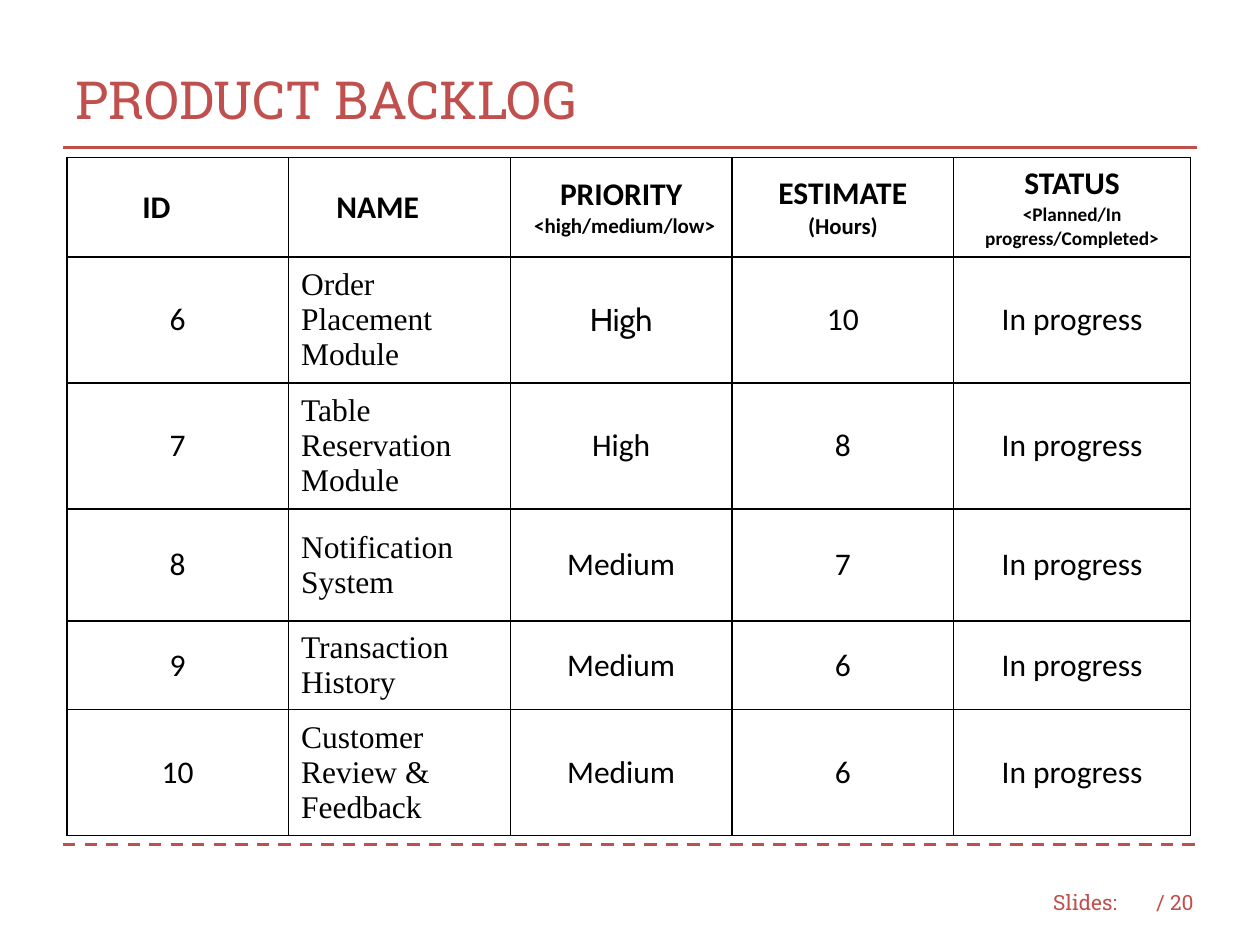
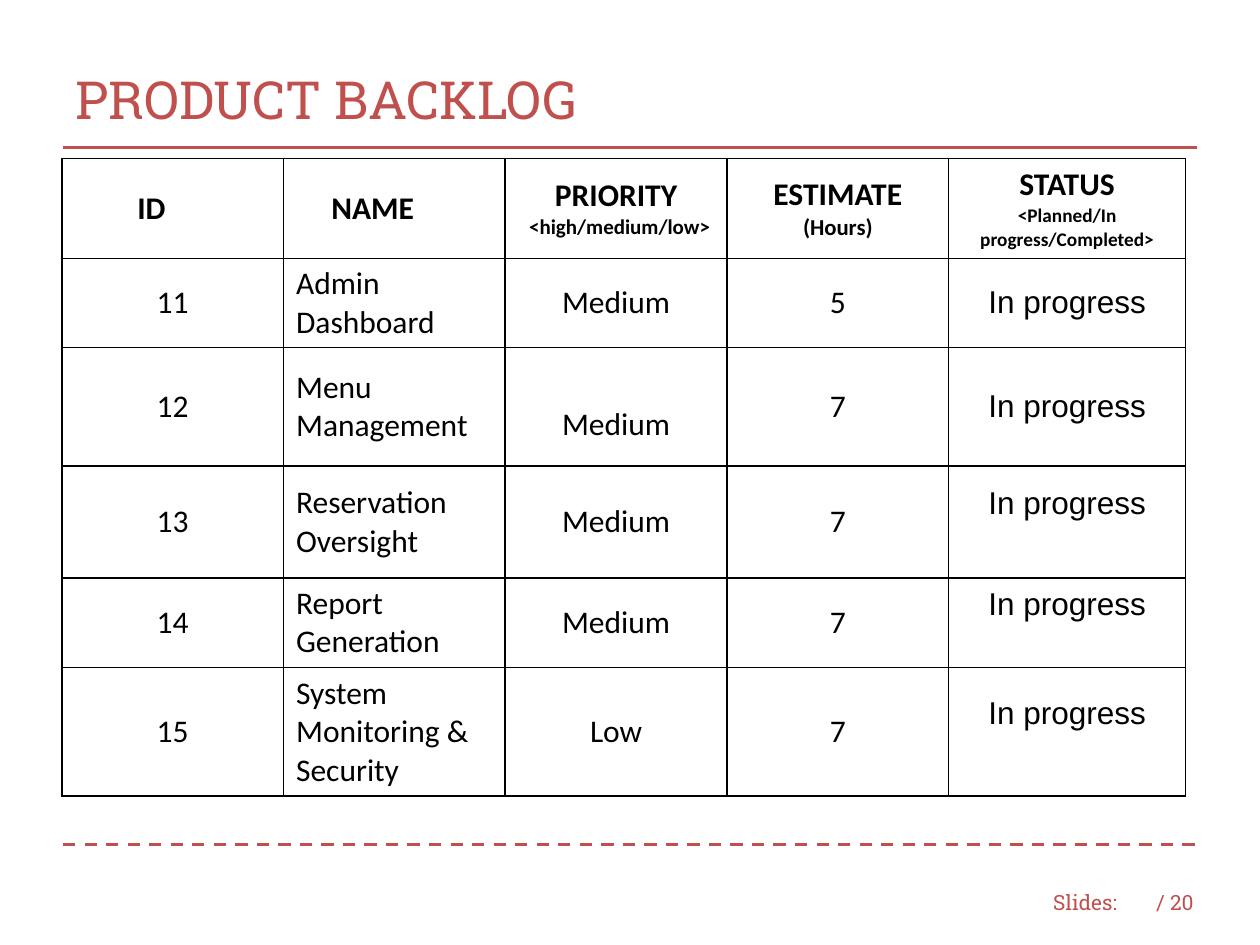
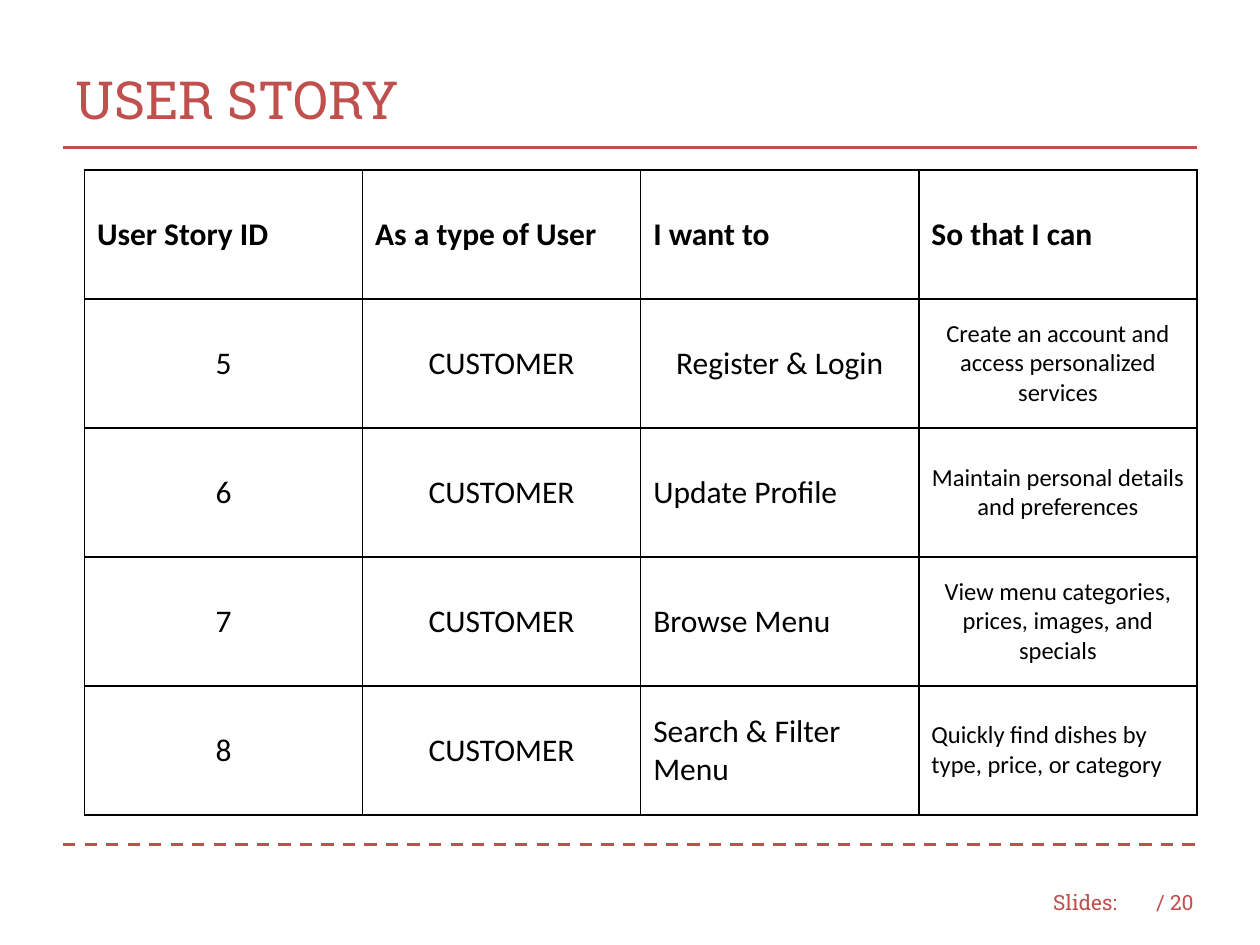
from lxml.etree import SubElement
from pptx import Presentation
from pptx.dml.color import RGBColor
from pptx.enum.dml import MSO_LINE
from pptx.enum.shapes import MSO_CONNECTOR
from pptx.enum.text import MSO_ANCHOR, PP_ALIGN
from pptx.oxml.ns import qn
from pptx.util import Inches, Pt

COLORS = {"accent": "C0504D", "text": "000000", "paper": "FFFFFF"}
TITLE = {"size": 30, "name": "Roboto Slab", "color": "accent"}
FOOTER = {**TITLE, "size": 12}
BODY = {"size": 18, "name": "Calibri", "color": "text", "bold": False}

# Cell formats, laid over BODY
CENTER = {"align": PP_ALIGN.CENTER}
LEFT = {"align": PP_ALIGN.LEFT}
HEAD = {"bold": True}
HEAD_CENTER = {**HEAD, **CENTER}
SERIF = {"name": "Times New Roman"}
CABIN = {**CENTER, "name": "Cabin"}
ARIAL = {**CENTER, "name": "Arial"}
SMALL = {**CENTER, "size": 14}
LOWERED = {**CENTER, "margin_top": 0.34}
RAISED = {**ARIAL, "margin_bottom": 0.34}

BACKLOG_WIDTHS = [1.76] * 4 + [1.88]
BACKLOG_HEAD = [
    [("ID", {**HEAD, "indent": 0.5})],
    [("NAME", {**HEAD, "indent": 0.28})],
    [("PRIORITY", HEAD_CENTER), ("<high/medium/low>", {**HEAD, "size": 12, "indent": 0.09})],
    [("ESTIMATE", HEAD_CENTER), ("(Hours)", {**HEAD_CENTER, "size": 13})],
    [("STATUS", HEAD_CENTER),
     ("<Planned/In progress/Completed>", {**HEAD_CENTER, "size": 11})],
]


class Deck:
    def __init__(self):
        self.prs = Presentation()
        self.prs.slide_width, self.prs.slide_height = Inches(10), Inches(7.5)
        self.s = None

    def color(self, name):
        return RGBColor.from_string(COLORS[name])

    def slide(self, title):
        """Start a slide with its title, rules and footer."""
        self.s = self.prs.slides.add_slide(self.prs.slide_layouts[5])
        self.title(title)
        self.line(1.17)
        self.line(6.7, MSO_LINE.DASH)
        self.text("Slides:", 8.26, 0.75)
        self.text("/ 20", 9.08, 0.58)

    def fill_paragraph(self, p, text, fmt):
        p.alignment = fmt.get("align", PP_ALIGN.LEFT)
        if "indent" in fmt:
            p._p.get_or_add_pPr().set("marL", str(Inches(fmt["indent"])))
        r = p.add_run()
        r.text = text
        values = {"size": Pt(fmt["size"]), "name": fmt["name"], "bold": fmt.get("bold", False)}
        for key, value in values.items():
            setattr(r.font, key, value)
        r.font.color.rgb = self.color(fmt["color"])

    def title(self, text):
        sp = self.s.shapes.title
        box = {"left": 0.5, "top": 0.33, "width": 9, "height": 0.91}
        for key, value in box.items():
            setattr(sp, key, Inches(value))
        sp.text_frame.vertical_anchor = MSO_ANCHOR.MIDDLE
        self.fill_paragraph(sp.text_frame.paragraphs[0], text, TITLE)

    def text(self, text, left, width):
        sp = self.s.shapes.add_textbox(Inches(left), Inches(6.96), Inches(width), Inches(0.4))
        tf = sp.text_frame
        tf.word_wrap = True
        tf.vertical_anchor = MSO_ANCHOR.MIDDLE
        self.fill_paragraph(tf.paragraphs[0], text, FOOTER)

    def line(self, y, dash=None):
        ln = self.s.shapes.add_connector(
            MSO_CONNECTOR.STRAIGHT, Inches(0.5), Inches(y), Inches(9.5), Inches(y))
        ln.line.color.rgb = self.color("accent")
        ln.line.width = Pt(1.75)
        if dash:
            ln.line.dash_style = dash
        SubElement(ln._element.spPr, qn("a:effectLst"))

    def borders(self, cell, width):
        tcPr = cell._tc.get_or_add_tcPr()
        for side in ("lnL", "lnR", "lnT", "lnB"):
            ln = SubElement(tcPr, qn(f"a:{side}"), w=str(Pt(width)))
            fill = SubElement(ln, qn("a:solidFill"))
            SubElement(fill, qn("a:srgbClr"), val=COLORS["text"])

    def table(self, left, top, widths, heights, rows, formats, border=0.96, fill=None):
        """A cell is a text in its column's format, or a list of (text, format) lines."""
        tbl = self.s.shapes.add_table(
            len(rows), len(widths), Inches(left), Inches(top),
            Inches(sum(widths)), Inches(sum(heights))).table
        tbl.first_row = tbl.horz_banding = False
        for col, width in zip(tbl.columns, widths):
            col.width = Inches(width)
        for row, height, texts in zip(tbl.rows, heights, rows):
            row.height = Inches(height)
            for cell, lines, fmt in zip(row.cells, texts, formats):
                self.cell(cell, [(lines, fmt)] if isinstance(lines, str) else lines)
                self.borders(cell, border)
                if fill:
                    cell.fill.solid()
                    cell.fill.fore_color.rgb = self.color(fill)
                else:
                    cell.fill.background()

    def cell(self, cell, lines):
        cell.vertical_anchor = MSO_ANCHOR.MIDDLE
        for i, (text, fmt) in enumerate(lines):
            p = cell.text_frame.add_paragraph() if i else cell.text_frame.paragraphs[0]
            self.fill_paragraph(p, text, {**BODY, **fmt})
            for key in ("margin_top", "margin_bottom"):
                if key in fmt:
                    setattr(cell, key, Inches(fmt[key]))

    def backlog(self, left, top, heights, rows, name_fmt, status_fmt):
        self.slide("PRODUCT BACKLOG")
        self.table(left, top, BACKLOG_WIDTHS, [0.79] + heights, [BACKLOG_HEAD] + rows,
                   [CENTER, name_fmt, CENTER, CENTER, status_fmt], fill="paper")


def main():
    deck = Deck()
    status = "In progress"

    # Backlog, items 6 to 10
    deck.backlog(0.53, 1.25, [0.93, 0.93, 0.89, 0.66, 0.93], [
        ["6", "Order Placement Module", [("High", CABIN)], "10", status],
        ["7", "Table Reservation Module", "High", "8", status],
        ["8", "Notification System", "Medium", "7", status],
        ["9", "Transaction History", "Medium", "6", status],
        ["10", "Customer Review & Feedback", "Medium", "6", status],
    ], SERIF, CENTER)

    # Backlog, items 11 to 15
    raised = [(status, RAISED)]
    deck.backlog(0.49, 1.26, [0.71, 0.94, 0.89, 0.71, 1.02], [
        ["11", "Admin Dashboard", "Medium", "5", status],
        ["12", "Menu Management", [("Medium", LOWERED)], "7", status],
        ["13", "Reservation Oversight", "Medium", "7", raised],
        ["14", "Report Generation", "Medium", "7", raised],
        ["15", "System Monitoring & Security", "Low", "7", raised],
    ], LEFT, ARIAL)

    # User stories
    deck.slide("USER STORY")
    heads = ["User Story ID", "As a type of User", "I want to", "So that I can"]
    user = "CUSTOMER"
    deck.table(0.67, 1.35, [8.83 / 4] * 4, [5.12 / 5] * 5, [
        [[(head, HEAD)] for head in heads],
        ["5", user, [("Register & Login", CENTER)],
         "Create an account and access personalized services"],
        ["6", user, "Update Profile", "Maintain personal details and preferences"],
        ["7", user, "Browse Menu", "View menu categories, prices, images, and specials"],
        ["8", user, "Search & Filter Menu",
         [("Quickly find dishes by type, price, or category", {**SMALL, **LEFT})]],
    ], [CENTER, CENTER, LEFT, SMALL], border=1)

    deck.prs.save("out.pptx")


if __name__ == "__main__":
    main()
